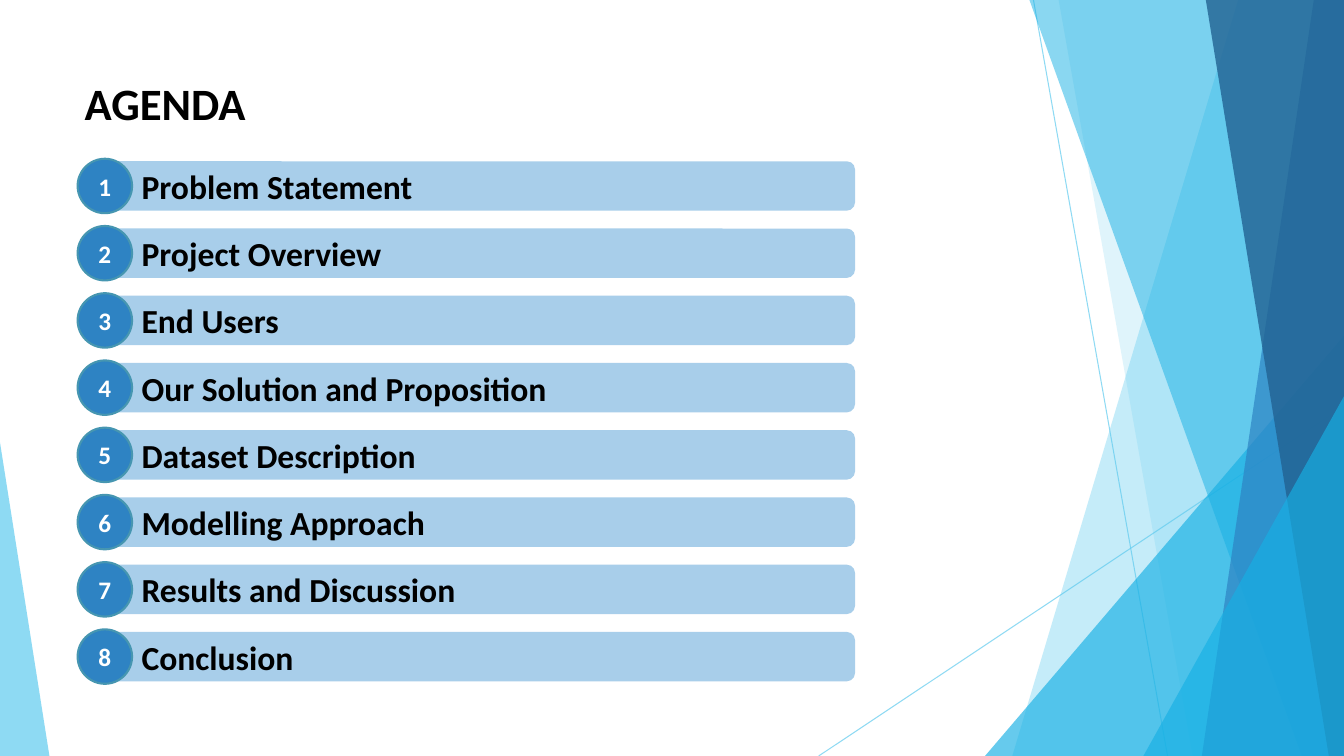
from lxml import etree
from pptx import Presentation
from pptx.dml.color import RGBColor
from pptx.enum import shapes, text
from pptx.oxml.ns import qn
from pptx.util import Inches, Pt

TITLE = "AGENDA"
TOPICS = [
    "Problem Statement",
    "Project Overview",
    "End Users",
    "Our Solution and Proposition",
    "Dataset Description",
    "Modelling Approach",
    "Results and Discussion",
    "Conclusion",
]
COLORS = {
    "sky": "5FCBEF", "cyan": "17B0E4", "blue": "2E83C3", "navy": "226292",
    "bar": "A8CEEA", "ring": "4696B1", "black": "000000", "white": "FFFFFF",
}
FONT = "Calibri"
WIDTH, HEIGHT = 13.33, 7.5

# Decoration: thin lines as (start, end)
RAYS = [((10.25, 0), (11.58, HEIGHT)), ((WIDTH, 4.03), (8.12, HEIGHT))]
# Facets, back to front: (kind, geometry, color, opacity %)
# "band" runs from a top x and a bottom x to the right edge of the slide;
# "triangle" stands on the bottom edge: left, top, width, apex position.
FACETS = [
    ("band", (12.28, 10.04), "sky", 36),
    ("band", (10.5, 11.83), "sky", 20),
    ("triangle", (9.77, 3.33, 3.56, 1), "cyan", 66),
    ("band", (10.21, 12.91), "cyan", 50),
    ("band", (13.03, 11.92), "blue", 70),
    ("band", (11.96, 13.18), "navy", 80),
    ("triangle", (11.34, 3.93, 1.99, 1), "cyan", 66),
    ("triangle", (0, 4.39, 0.49, 0), "sky", 70),
]

# Agenda rows
BAR_LEFT, BAR_TOP, BAR_WIDTH, BAR_HEIGHT = 0.99, 1.6, 7.49, 0.49
ROW_STEP = 0.667
BADGE_LEFT, BADGE_SIZE = 0.77, 0.54


def rgb(name):
    return RGBColor.from_string(COLORS[name])


def set_opacity(fill_parent, percent):
    color = next(fill_parent.iter(qn("a:srgbClr")))
    etree.SubElement(color, qn("a:alpha")).set("val", str(percent * 1000))


def paint(shape, color):
    shape.shadow.inherit = False
    shape.fill.solid()
    shape.fill.fore_color.rgb = rgb(color)
    shape.line.fill.background()


def write(shape, words, size, color, align, insets):
    frame = shape.text_frame
    frame.word_wrap = True
    frame.vertical_anchor = text.MSO_ANCHOR.MIDDLE
    (frame.margin_left, frame.margin_top,
     frame.margin_right, frame.margin_bottom) = map(Inches, insets)
    para = frame.paragraphs[0]
    para.text = words
    para.alignment = align
    para.font.name, para.font.size, para.font.bold = FONT, Pt(size), True
    para.font.color.rgb = rgb(color)
    return para


def add_ray(page, start, end):
    ray = page.shapes.add_connector(
        shapes.MSO_CONNECTOR.STRAIGHT, *map(Inches, start + end))
    ray.line.color.rgb = rgb("sky")
    ray.line.width = Pt(0.75)
    properties = ray.line._get_or_add_ln().getparent()
    set_opacity(properties, 70)
    etree.SubElement(properties, qn("a:effectLst"))


def add_facet(page, kind, geometry, color, opacity):
    if kind == "band":
        top_x, bottom_x = geometry
        corners = [(top_x, 0), (WIDTH, 0), (WIDTH, HEIGHT), (bottom_x, HEIGHT)]
        points = [(Inches(x), Inches(y)) for x, y in corners]
        builder = page.shapes.build_freeform(*points[0])
        builder.add_line_segments(points[1:], close=True)
        facet = builder.convert_to_shape()
    else:
        left, top, width, apex = geometry
        facet = page.shapes.add_shape(
            shapes.MSO_SHAPE.ISOSCELES_TRIANGLE,
            *map(Inches, (left, top, width, HEIGHT - top)))
        facet.adjustments[0] = apex
    paint(facet, color)
    set_opacity(facet._element.spPr, opacity)


def add_bar(page, row, topic):
    bar = page.shapes.add_shape(
        shapes.MSO_SHAPE.ROUNDED_RECTANGLE, Inches(BAR_LEFT),
        Inches(BAR_TOP + row * ROW_STEP), Inches(BAR_WIDTH), Inches(BAR_HEIGHT))
    paint(bar, "bar")
    para = write(bar, topic, 24, "black", text.PP_ALIGN.LEFT,
                 (0.39, 0.05, 0.1, 0.05))
    para.space_before = para.space_after = Pt(10)


def add_badge(page, row):
    top = BAR_TOP + row * ROW_STEP + (BAR_HEIGHT - BADGE_SIZE) / 2
    badge = page.shapes.add_shape(
        shapes.MSO_SHAPE.OVAL, Inches(BADGE_LEFT), Inches(top),
        Inches(BADGE_SIZE), Inches(BADGE_SIZE))
    paint(badge, "blue")
    badge.line.color.rgb = rgb("ring")
    badge.line.width = Pt(1.5)
    write(badge, str(row + 1), 18, "white", text.PP_ALIGN.CENTER,
          (0.1, 0.05, 0.1, 0.05))


def main():
    deck = Presentation()
    deck.slide_width, deck.slide_height = Inches(WIDTH), Inches(HEIGHT)
    page = deck.slides.add_slide(deck.slide_layouts[5])

    # Background decoration
    for start, end in RAYS:
        add_ray(page, start, end)
    for facet in FACETS:
        add_facet(page, *facet)

    # Title
    title = page.shapes.title
    title.left, title.top, title.width, title.height = map(
        Inches, (0.74, 0.67, 9.4, 0.7))
    write(title, TITLE, 32, "black", text.PP_ALIGN.LEFT, (0.1, 0.05, 0.1, 0.05))

    # Agenda: all bars first, then the numbers over them
    for row, topic in enumerate(TOPICS):
        add_bar(page, row, topic)
    for row in range(len(TOPICS)):
        add_badge(page, row)

    deck.save("out.pptx")


if __name__ == "__main__":
    main()
